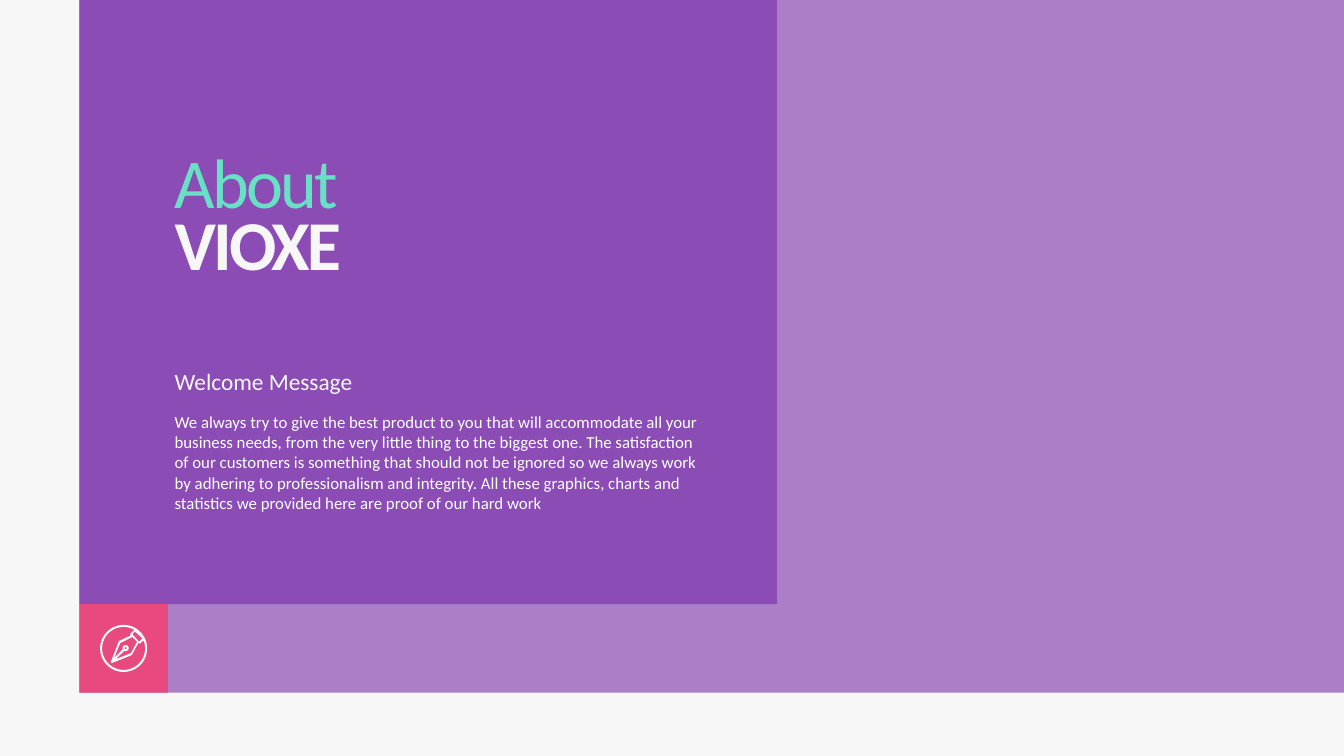
"""Build the About slide: layered colour panels, a pen icon and a welcome message."""
import math

from lxml import etree
from pptx import Presentation
from pptx import util as u
from pptx.dml.color import RGBColor
from pptx.enum import shapes, text
from pptx.oxml.ns import qn

WIDTH, HEIGHT = u.Inches(20), u.Inches(11.25)
FONT = "Calibri"
COLORS = {
    "paper": "F7F7F7",
    "purple": "8B4CB5",
    "pink": "E84A80",
    "mint": "67E0C4",
    "icon": "FEFCFB",
    "white": "FFFFFF",
}
EDGE, MARGIN = 5.9, 12.5
PANEL_BOTTOM, BAND_BOTTOM = 79.91, 91.64
TILE = MARGIN - EDGE
MESSAGE = (
    "We always try to give the best product to you that will accommodate all your "
    "business needs, from the very little thing to the biggest one. The satisfaction "
    "of our customers is something that should not be ignored so we always work by "
    "adhering to professionalism and integrity. All these graphics, charts and "
    "statistics we provided here are proof of our hard work"
)


def color(name):
    """Return the named colour."""
    return RGBColor.from_string(COLORS[name])


def place(left, top, width, height):
    """Turn percentages of the slide into lengths."""
    return (int(WIDTH * left / 100), int(HEIGHT * top / 100),
            int(WIDTH * width / 100), int(HEIGHT * height / 100))


def paint(sp, name, opacity=100):
    """Give a shape a flat fill without line or shadow."""
    sp.shadow.inherit = False
    sp.fill.solid()
    sp.fill.fore_color.rgb = color(name)
    sp.line.fill.background()
    if opacity < 100:
        clr = sp._element.spPr.find(qn("a:solidFill"))[0]
        etree.SubElement(clr, qn("a:alpha")).set("val", str(opacity * 1000))


def add_panel(s, box, name, opacity=100):
    """Add a plain rectangle."""
    sp = s.shapes.add_shape(shapes.MSO_SHAPE.RECTANGLE, *place(*box))
    paint(sp, name, opacity)


def add_text(s, box, words, size, name, bold=False, title=False):
    """Add a text box holding one formatted paragraph."""
    tf = s.shapes.add_textbox(*place(*box)).text_frame
    tf.word_wrap = True
    tf.vertical_anchor = text.MSO_ANCHOR.TOP
    p = tf.paragraphs[0]
    p.text = words
    if title:
        p.line_spacing = 0.8
    r = p.runs[0]
    r.font.name, r.font.size, r.font.bold = FONT, u.Pt(size), bold
    r.font.color.rgb = color(name)
    if title:
        r._r.get_or_add_rPr().set("spc", "-300")


def arc(x, y, radius, start=0, end=360):
    """Return points along an arc, with angles in degrees."""
    angles = [math.radians(start + (end - start) * i / 48) for i in range(49)]
    return [(x + radius * math.cos(a), y + radius * math.sin(a)) for a in angles]


def add_pen_icon(s, x, y):
    """Draw a ringed pen nib centred on a point given in percent."""
    unit = WIDTH / 2000
    contours = [
        arc(0, 0, 35),
        arc(0, 0, 32, -22, 300) + [
            (10, -22), (10, -19), (-7, -11), (-19, 20), (-18, 22),
            (12, 10), (22, -8), (24, -7)],
        arc(3, -0.5, 4.5, 115, -205) + [
            (-14, 14), (-5, -8), (13, -17), (20, -10), (11, 7), (-12, 16)],
        arc(3, -0.5, 1.5),
        [(13, -21), (17, -25), (28, -15), (23, -10)],
    ]
    cx, cy = WIDTH * x / 100, HEIGHT * y / 100
    builder = None
    for contour in contours:
        points = [(round(cx + px * unit), round(cy + py * unit)) for px, py in contour]
        if builder is None:
            builder = s.shapes.build_freeform(*points[0])
        else:
            builder.move_to(*points[0])
        builder.add_line_segments(points[1:], close=True)
    paint(builder.convert_to_shape(), "icon")


def main():
    """Build and save the slide."""
    prs = Presentation()
    prs.slide_width, prs.slide_height = WIDTH, HEIGHT
    s = prs.slides.add_slide(prs.slide_layouts[6])
    s.background.fill.solid()
    s.background.fill.fore_color.rgb = color("paper")

    tile_height = BAND_BOTTOM - PANEL_BOTTOM
    add_panel(s, (EDGE, 0, 100 - EDGE, BAND_BOTTOM), "purple", 70)
    add_panel(s, (EDGE, 0, 51.9, PANEL_BOTTOM), "purple")
    add_panel(s, (EDGE, PANEL_BOTTOM, TILE, tile_height), "pink")
    add_pen_icon(s, EDGE + TILE / 2, PANEL_BOTTOM + tile_height / 2)

    add_text(s, (MARGIN, 28.27, 26.1, 8), "VIOXE", 75, "paper", bold=True, title=True)
    add_text(s, (MARGIN, 48.18, 30.95, 3.38), "Welcome Message", 25, "paper")
    add_text(s, (MARGIN, 20.09, 26.1, 8.09), "About", 75, "mint", title=True)
    add_text(s, (MARGIN, 54.04, 40.15, 14.58), MESSAGE, 18, "white")
    prs.save("out.pptx")


if __name__ == "__main__":
    main()
